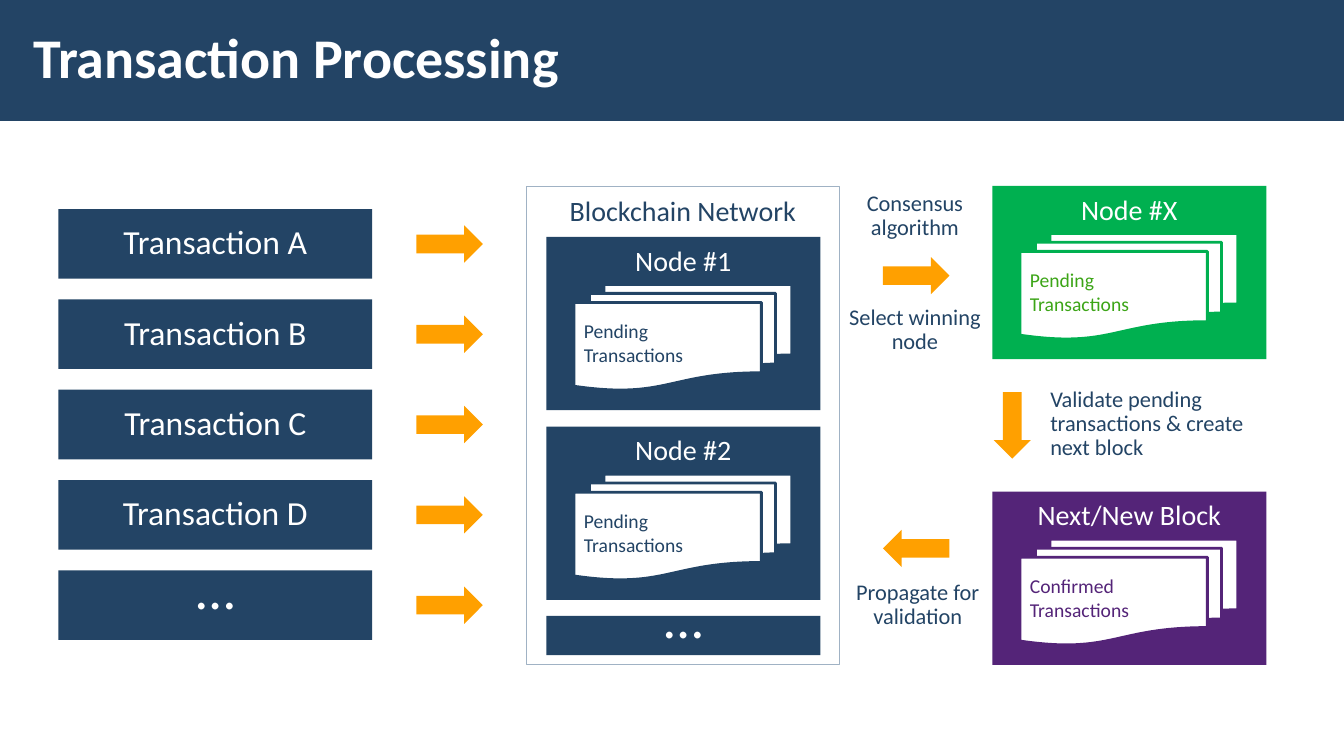
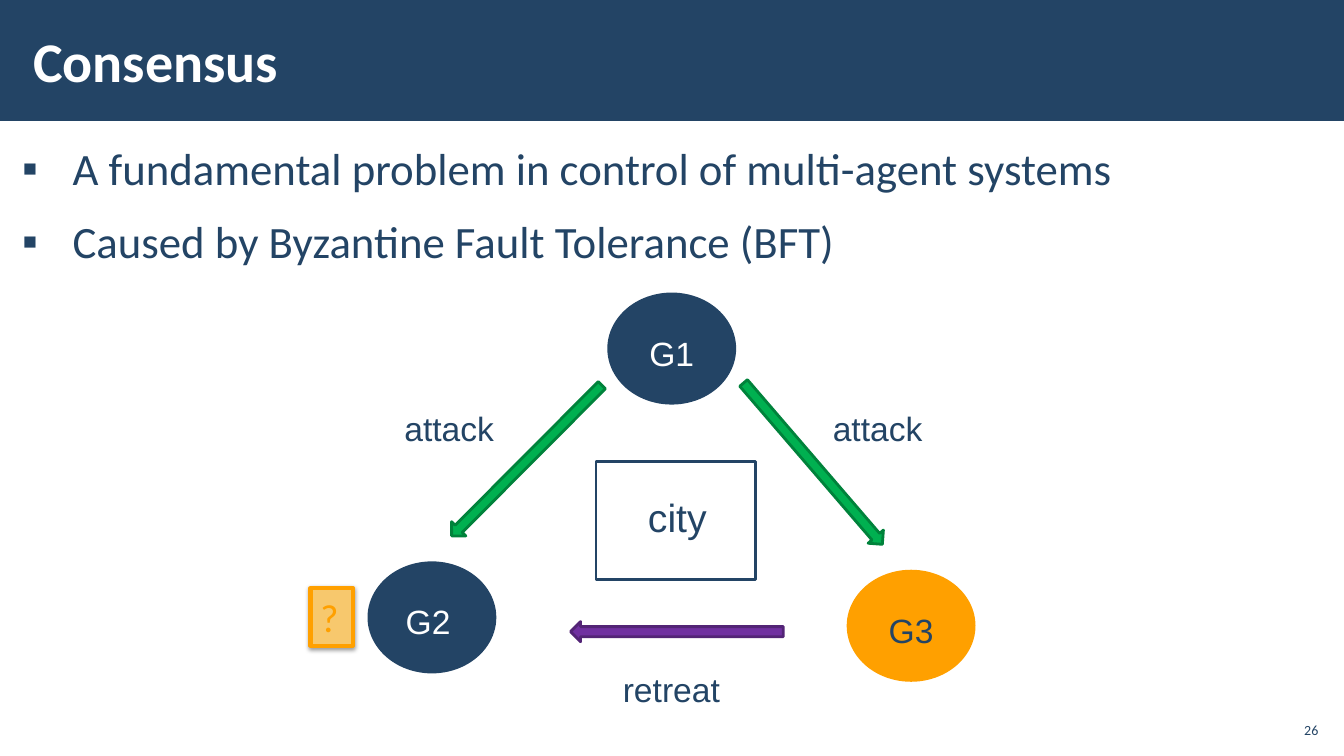
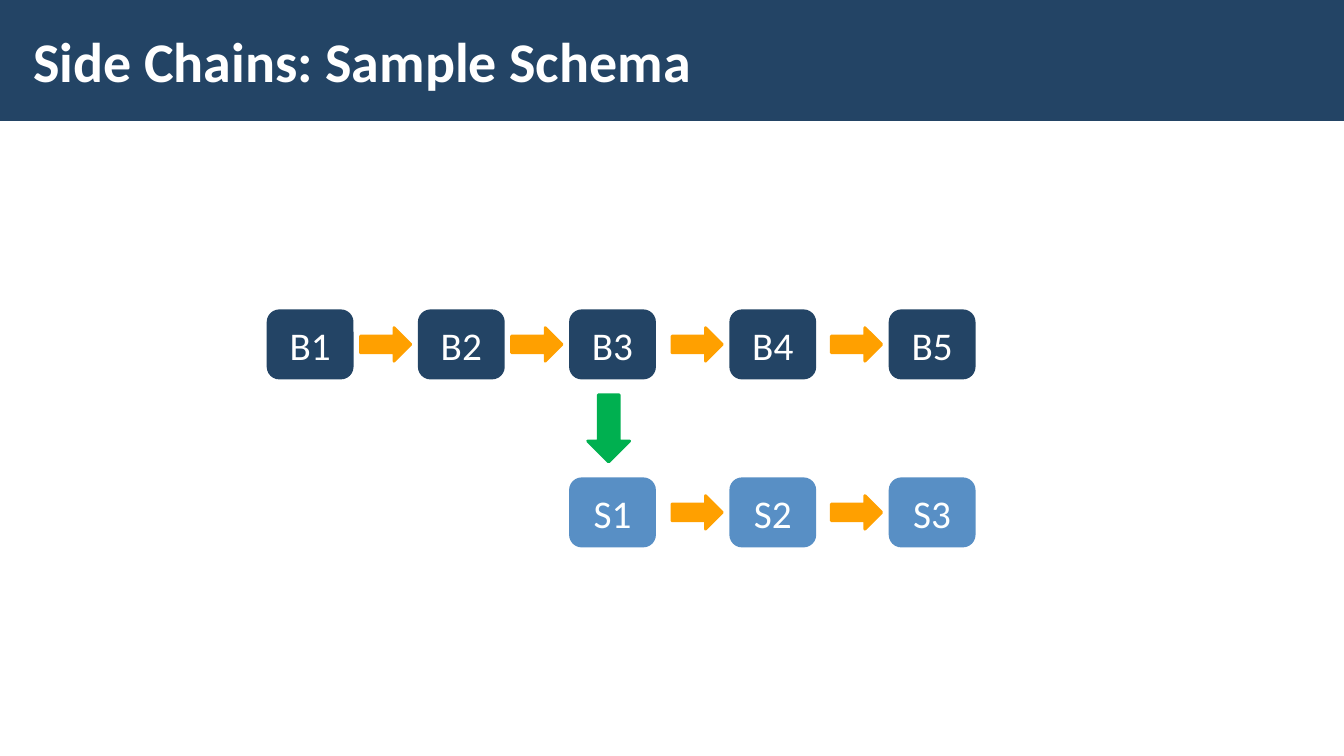
from dataclasses import dataclass

from lxml.etree import SubElement
from pptx import Presentation
from pptx.dml.color import RGBColor
from pptx.enum.shapes import MSO_SHAPE
from pptx.enum.text import MSO_ANCHOR, PP_ALIGN
from pptx.oxml.ns import qn
from pptx.util import Pt


@dataclass(frozen=True)
class Theme:
    navy: str = "234465"
    white: str = "FFFFFF"
    near_white: str = "FDFFFF"
    orange: str = "FFA000"
    pale_orange: str = "F7C86D"
    green: str = "00B050"
    dark_green: str = "00823B"
    leaf: str = "3CA517"
    purple: str = "542478"
    violet: str = "7030A0"
    dark_violet: str = "532476"
    blue: str = "588FC5"
    frame: str = "A0B2C4"
    font: str = "Calibri"
    diagram_font: str = "Arial"
    title: int = 40
    dots: int = 40
    bullet: int = 32
    block: int = 28
    label: int = 24
    heading: int = 20
    caption: int = 16
    document: int = 14
    number: int = 10


theme = Theme()


def margins(left, top, right, bottom):
    return {"margin_left": Pt(left), "margin_top": Pt(top),
            "margin_right": Pt(right), "margin_bottom": Pt(bottom)}


def draw(page, preset, at, text="", fill=None, line=None, weight=2, turn=0,
         size=theme.label, color=theme.navy, font=theme.font, bold=False,
         align=PP_ALIGN.CENTER, spacing=1.0, **frame_format):
    """Add a preset shape, a text box (preset None) or fill a given placeholder; at is in points."""
    place = [Pt(value) for value in at]
    if preset is None:
        box = page.shapes.add_textbox(*place)
    elif preset in ("title", "body"):
        box = page.shapes.title if preset == "title" else page.placeholders[1]
        box.left, box.top, box.width, box.height = place
    else:
        box = page.shapes.add_shape(preset, *place)
        box.shadow.inherit = False
        box.rotation = turn
        if fill:
            box.fill.solid()
            box.fill.fore_color.rgb = RGBColor.from_string(fill)
        else:
            box.fill.background()
        if line:
            box.line.color.rgb = RGBColor.from_string(line)
            box.line.width = Pt(weight)
        else:
            box.line.fill.background()
    if text:
        frame = box.text_frame
        frame.text = text
        for name, value in {"word_wrap": True, **frame_format}.items():
            setattr(frame, name, value)
        for para in frame.paragraphs:
            para.alignment = align
            para.line_spacing = spacing
            for span in para.runs:
                span.font.color.rgb = RGBColor.from_string(color)
                for name, value in {"name": font, "size": Pt(size), "bold": bold}.items():
                    setattr(span.font, name, value)
    return box


placeholder_margins = margins(8.64, 2.88, 8.64, 2.88)
box_margins = margins(7.2, 7.2, 7.2, 7.2)
no_margins = margins(0, 0, 0, 0)

deck = Presentation()
deck.slide_width, deck.slide_height = Pt(960), Pt(540)
pages = []
for title, layout, spacing in [("Transaction Processing", 5, 0.9),
                               ("Consensus", 1, 1.0),
                               ("Side Chains: Sample Schema", 5, 1.0)]:
    page = deck.slides.add_slide(deck.slide_layouts[layout])
    draw(page, "title", (15.1, 7.9, 748, 69.8), title, size=theme.title,
         color=theme.white, bold=True, align=PP_ALIGN.LEFT, spacing=spacing,
         vertical_anchor=MSO_ANCHOR.MIDDLE, **placeholder_margins)
    pages.append(page)
processing, consensus, side_chains = pages

# The title band belongs to the master, behind its placeholders
band = draw(processing, MSO_SHAPE.RECTANGLE, (0, 0, 960, 86.4), fill=theme.navy)
deck.slide_master.shapes.element.insert(2, band.element)

# Transaction Processing
names = ["Transaction A", "Transaction B", "Transaction C", "Transaction D", "…"]
for row, name in enumerate(names):
    top = 149.4 + 64.5 * row
    dots = name == "…"
    draw(processing, MSO_SHAPE.RECTANGLE, (41.8, top, 224, 49.7), name,
         fill=theme.navy, color=theme.white, size=theme.dots if dots else theme.label,
         spacing=0.9, **(margins(7.2, 0, 7.2, 20.2) if dots else box_margins))
    draw(processing, MSO_SHAPE.RIGHT_ARROW, (297.4, top + 11.6, 47.5, 26.6), fill=theme.orange)

draw(processing, MSO_SHAPE.RECTANGLE, (375.8, 133.5, 224, 341.3), "Blockchain Network",
     line=theme.frame, weight=0.75, size=theme.heading, spacing=0.9,
     vertical_anchor=MSO_ANCHOR.TOP, **box_margins)
draw(processing, MSO_SHAPE.RECTANGLE, (390.2, 439.9, 195.8, 28.1), "…", fill=theme.navy,
     size=theme.dots, color=theme.white, spacing=0.9, **margins(7.2, 0, 7.2, 22.3))

for left, top, name, state, fill, ink in [
    (390.2, 169.2, "Node #1", "Pending", theme.navy, theme.navy),
    (390.2, 304.7, "Node #2", "Pending", theme.navy, theme.navy),
    (708.8, 132.7, "Node #X", "Pending", theme.green, theme.leaf),
    (708.8, 351.2, "Next/New Block", "Confirmed", theme.purple, theme.purple),
]:
    draw(processing, MSO_SHAPE.RECTANGLE, (left, top, 195.8, 123.8), name, fill=fill,
         size=theme.heading, color=theme.white, spacing=0.9,
         vertical_anchor=MSO_ANCHOR.TOP, **box_margins)
    draw(processing, MSO_SHAPE.FLOWCHART_MULTIDOCUMENT, (left + 19.8, top + 34, 155.5, 75.6),
         f"{state} Transactions", fill=theme.white, line=fill, size=theme.document,
         color=ink, align=PP_ALIGN.LEFT, **margins(7.2, 1.44, 7.2, 3.6))

for left, top, turn in [(630.7, 183.6, 0), (630.7, 378.4, 180), (699.3, 290.6, 90)]:
    draw(processing, MSO_SHAPE.RIGHT_ARROW, (left, top, 47.5, 26.6),
         fill=theme.orange, turn=turn)

for at, text, align in [
    ((750.2, 277.2, 154, 55.4), "Validate pending transactions & create\vnext block", PP_ALIGN.LEFT),
    ((597.6, 415.4, 116, 54.7), "Propagate for\vvalidation", PP_ALIGN.CENTER),
    ((606.4, 218.4, 94.3, 36), "Select winning node", PP_ALIGN.CENTER),
    ((606.4, 137.5, 94.3, 36), "Consensus\valgorithm", PP_ALIGN.CENTER),
]:
    draw(processing, None, at, text, size=theme.caption, align=align, spacing=0.9, **no_margins)

# Consensus
points = ["A fundamental problem in control of multi-agent systems",
          "Caused by Byzantine Fault Tolerance (BFT)"]
body = draw(consensus, "body", (7.2, 95.8, 944.6, 409.7), "\n".join(points),
            size=theme.bullet, align=PP_ALIGN.LEFT, spacing=1.05, **placeholder_margins)
for order, para in enumerate(body.text_frame.paragraphs):
    properties = para._p.get_or_add_pPr()
    properties.set("marL", str(Pt(36)))
    properties.set("indent", str(-Pt(36)))
    SubElement(properties, qn("a:buChar")).set("char", "▪")
    para.space_before = Pt(6 if order else 0)
    para.space_after = Pt(6)

draw(consensus, None, (910.8, 514, 33.8, 15.1), "26", size=theme.number,
     align=PP_ALIGN.RIGHT, vertical_anchor=MSO_ANCHOR.MIDDLE, **margins(2.88, 2.88, 2.88, 2.88))

draw(consensus, MSO_SHAPE.RECTANGLE, (425.8, 329.8, 114, 84), fill=theme.white, line=theme.navy)
for left, top, fill in [(434.8, 210, theme.navy), (263.5, 402, theme.navy),
                        (605.8, 408, theme.orange)]:
    draw(consensus, MSO_SHAPE.OVAL, (left, top, 90, 78), fill=fill, line=fill)

for left, top, turn, fill, line in [
    (504.7, 324, 49.3, theme.green, theme.dark_green),
    (300.2, 321.8, 134.9, theme.green, theme.dark_green),
    (407.5, 444, 180, theme.violet, theme.dark_violet),
]:
    draw(consensus, MSO_SHAPE.RIGHT_ARROW, (left, top, 152, 14.4), fill=fill, line=line, turn=turn)

for at, text, color, size, align in [
    ((455.8, 234, 48, 36), "G1", theme.white, theme.label, PP_ALIGN.CENTER),
    ((275.8, 426, 60, 36), "G2", theme.white, theme.label, PP_ALIGN.CENTER),
    ((623.8, 432, 54, 36), "G3", theme.navy, theme.label, PP_ALIGN.CENTER),
    ((432, 348.5, 103.7, 41), "city", theme.navy, theme.block, PP_ALIGN.CENTER),
    ((281.8, 288, 84, 36), "attack", theme.navy, theme.label, PP_ALIGN.LEFT),
    ((587.8, 288, 102, 36), "attack", theme.navy, theme.label, PP_ALIGN.LEFT),
    ((437.8, 474, 102, 36), "retreat", theme.navy, theme.label, PP_ALIGN.LEFT),
]:
    draw(consensus, None, at, text, color=color, size=size, font=theme.diagram_font, align=align)

doubt = draw(consensus, MSO_SHAPE.RECTANGLE, (221.8, 420, 30.2, 41.2), "?",
             fill=theme.pale_orange, line=theme.orange, weight=3, size=theme.block,
             color=theme.orange, align=PP_ALIGN.LEFT, vertical_anchor=MSO_ANCHOR.TOP)
effects = doubt.element.spPr.find(qn("a:effectLst"))
shadow = SubElement(effects, qn("a:outerShdw"), blurRad=str(Pt(3.1)), dist=str(Pt(1.6)),
                    dir="5400000", rotWithShape="0")
shadow_color = SubElement(shadow, qn("a:srgbClr"), val="000000")
SubElement(shadow_color, qn("a:alpha"), val="38000")

# Side Chains
lefts = [191.5, 299.5, 407.5, 522, 635.8]
for top, letter, fill, color, chain in [
    (222, "B", theme.navy, theme.white, lefts),
    (342, "S", theme.blue, theme.near_white, lefts[2:]),
]:
    for number, left in enumerate(chain, start=1):
        draw(side_chains, MSO_SHAPE.ROUNDED_RECTANGLE, (left, top, 60, 48), f"{letter}{number}",
             fill=fill, line=fill, size=theme.block, color=color)
        if number > 1:
            draw(side_chains, MSO_SHAPE.RIGHT_ARROW, (left - 42, top + 12, 36, 24),
                 fill=theme.orange, line=theme.orange)
draw(side_chains, MSO_SHAPE.DOWN_ARROW, (419.8, 282, 30, 48), fill=theme.green, line=theme.green)

deck.save("out.pptx")
